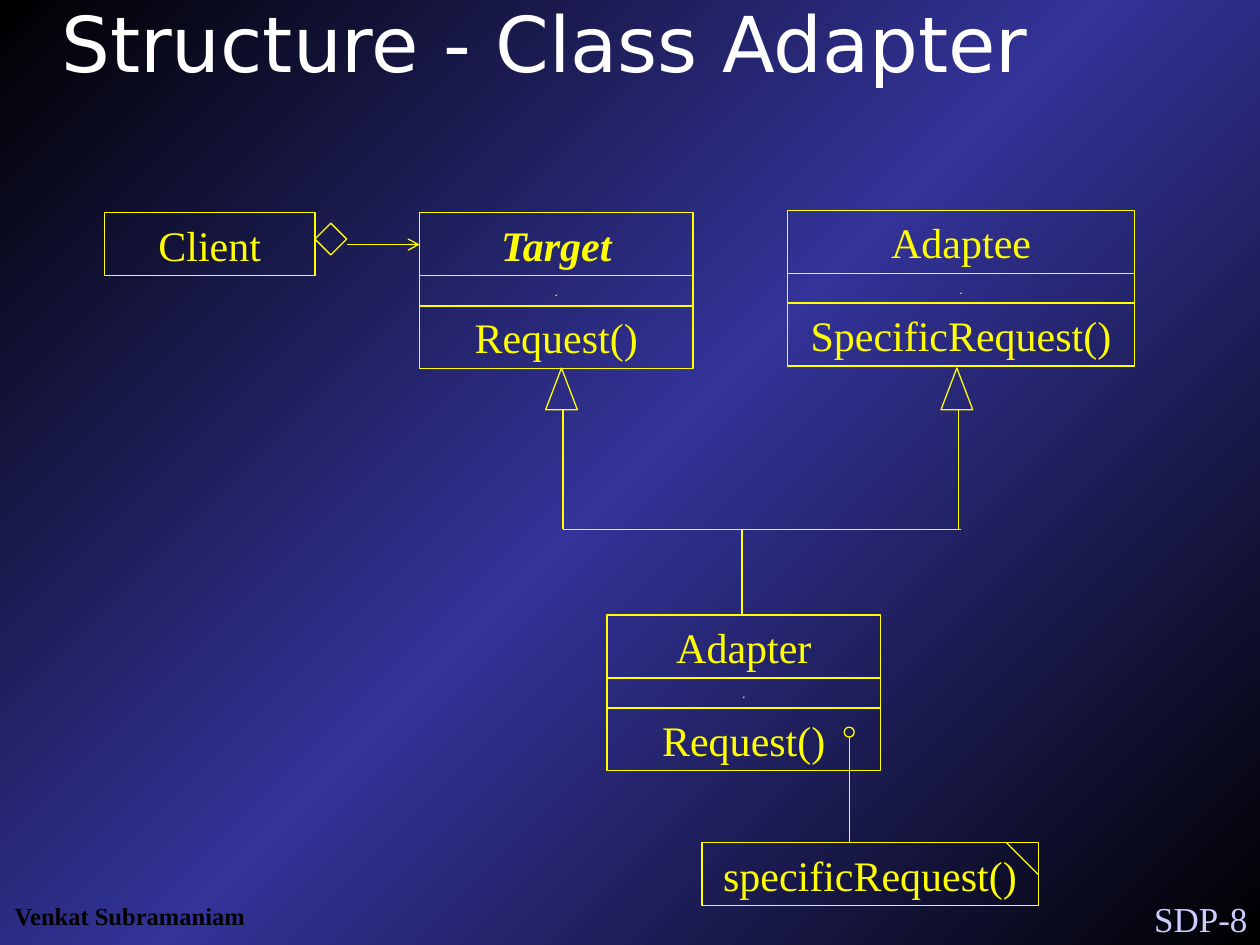
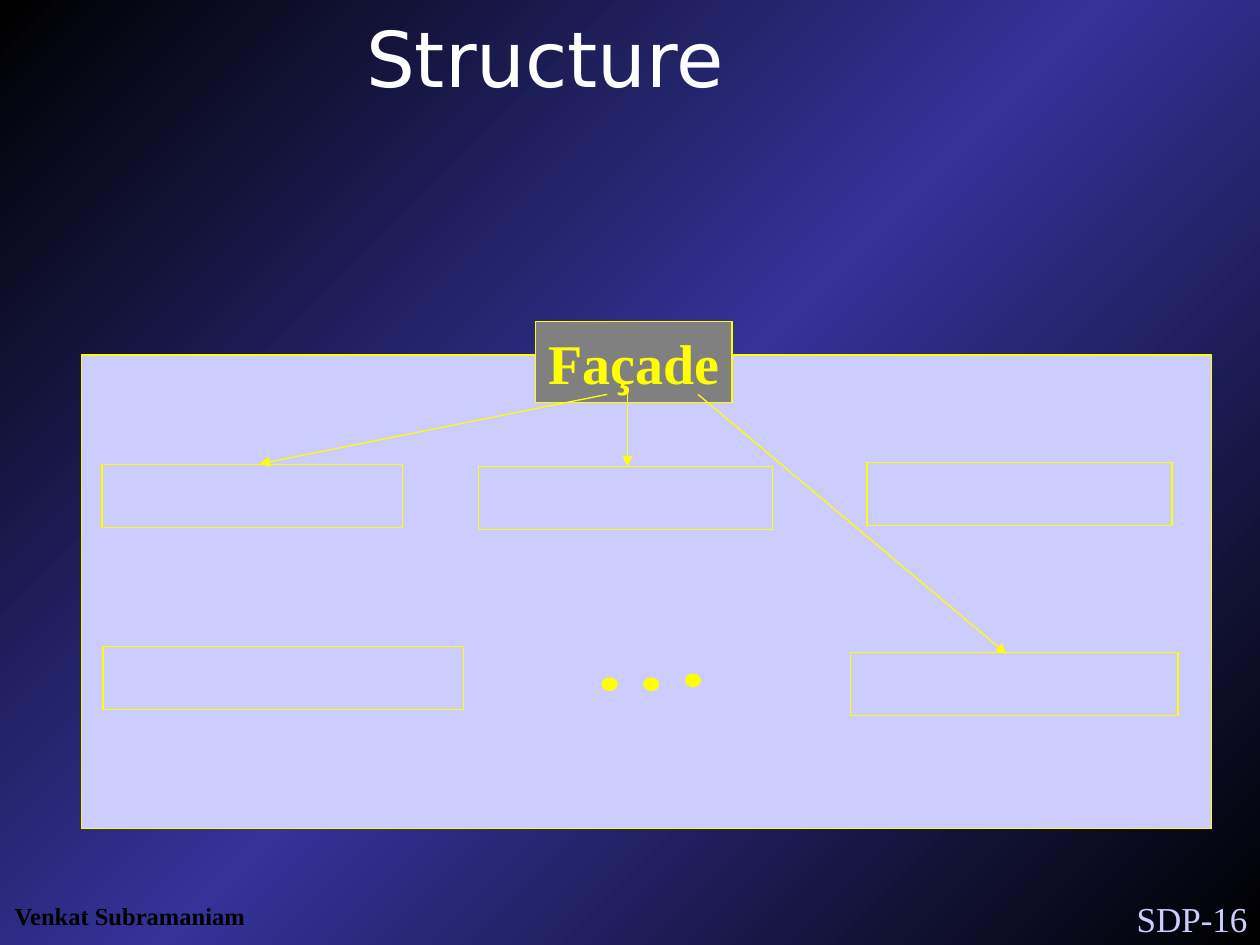
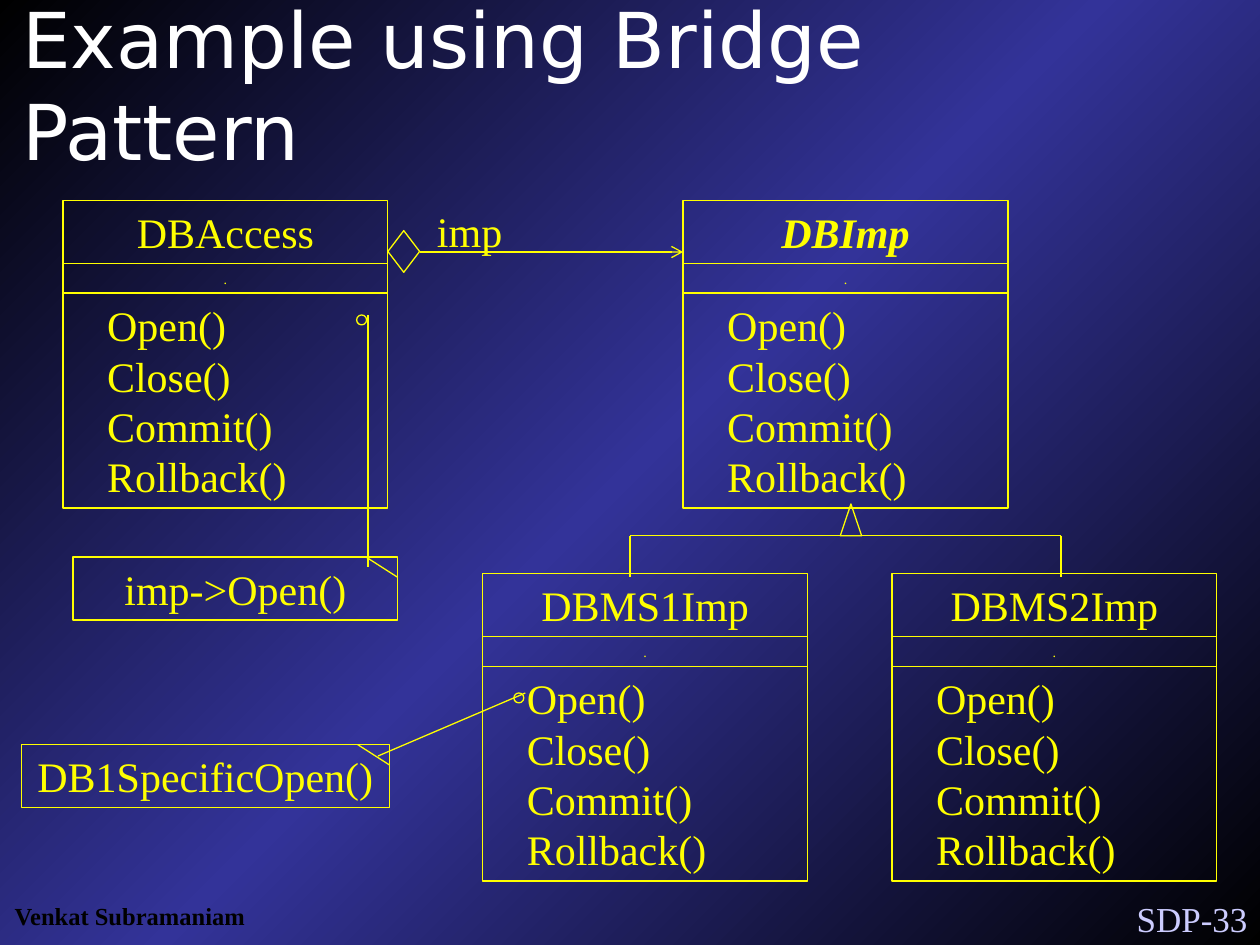
from dataclasses import dataclass

from lxml.etree import SubElement
from pptx import Presentation
from pptx.dml.color import RGBColor
from pptx.enum.shapes import MSO_CONNECTOR, MSO_SHAPE
from pptx.enum.text import MSO_ANCHOR, PP_ALIGN
from pptx.oxml.ns import qn
from pptx.util import Cm, Pt

YELLOW, WHITE, BLACK = "FFFF00", "FFFFFF", "000000"
NAVY, LAVENDER, GREY = "333399", "CCCCFF", "808080"
SERIF, SANS = "Times New Roman", "DejaVu Sans"
AUTHOR = "Venkat Subramaniam"

NAME_HEIGHT = 1.27
MARKER_HEIGHT = 0.61
METHODS_OFFSET = 1.87
METHOD_LINE = 1.02
PIN_SIZE = 0.2
DATABASE_METHODS = ("Open()", "Close()", "Commit()", "Rollback()")


@dataclass(frozen=True)
class Area:
    left: float
    top: float
    width: float
    height: float


@dataclass(frozen=True)
class Style:
    size: float = 24
    font: str = SERIF
    color: str = YELLOW
    bold: bool = False
    italic: bool = False
    align: PP_ALIGN = PP_ALIGN.CENTER
    indent: float = 0


@dataclass(frozen=True)
class UmlClass:
    name: str
    left: float
    top: float
    width: float
    methods: tuple[str, ...]
    abstract: bool = False


@dataclass(frozen=True)
class Note:
    text: str
    left: float
    top: float
    width: float
    fold_height: float


@dataclass(frozen=True)
class Line:
    x1: float
    y1: float
    x2: float
    y2: float
    arrow: str = ""


LABEL = Style()
MARKER = Style(size=8)
METHOD_LIST = Style(align=PP_ALIGN.LEFT, indent=0.64)


def rgb(color: str) -> RGBColor:
    return RGBColor.from_string(color)


def write(shape, lines: tuple[str, ...], style: Style, wrap: bool = True,
          anchor: MSO_ANCHOR = MSO_ANCHOR.MIDDLE) -> None:
    """Fill a shape with one paragraph a line, 1.2 font sizes apart."""
    frame = shape.text_frame
    frame.word_wrap = wrap
    frame.vertical_anchor = anchor
    frame.margin_left = frame.margin_right = Cm(0.25)
    frame.margin_top = frame.margin_bottom = Cm(0.13)
    frame.text = "\n".join(lines)
    for paragraph in frame.paragraphs:
        paragraph.alignment = style.align
        paragraph.line_spacing = Pt(1.2 * style.size)
        font = paragraph.font
        font.name, font.size = style.font, Pt(style.size)
        font.bold, font.italic = style.bold, style.italic
        font.color.rgb = rgb(style.color)
        if style.indent:
            paragraph._p.get_or_add_pPr().set("marL", str(Cm(style.indent)))


def add_text(page, area: Area, text: str, style: Style, wrap: bool = True,
             anchor: MSO_ANCHOR = MSO_ANCHOR.MIDDLE) -> None:
    box = page.shapes.add_textbox(Cm(area.left), Cm(area.top),
                                  Cm(area.width), Cm(area.height))
    write(box, (text,), style, wrap, anchor)


def add_outline(page, area: Area, kind: MSO_SHAPE = MSO_SHAPE.RECTANGLE, fill: str = ""):
    """Add a yellow-edged shape, see-through unless a fill is given."""
    shape = page.shapes.add_shape(kind, Cm(area.left), Cm(area.top),
                                  Cm(area.width), Cm(area.height))
    shape.shadow.inherit = False
    shape.line.color.rgb = rgb(YELLOW)
    shape.line.width = Pt(0.75)
    if fill:
        shape.fill.solid()
        shape.fill.fore_color.rgb = rgb(fill)
    else:
        shape.fill.background()
    return shape


def add_line(page, line: Line) -> None:
    connector = page.shapes.add_connector(MSO_CONNECTOR.STRAIGHT, Cm(line.x1), Cm(line.y1),
                                          Cm(line.x2), Cm(line.y2))
    connector.line.color.rgb = rgb(YELLOW)
    connector.line.width = Pt(0.75)
    if line.arrow:
        SubElement(connector.line._get_or_add_ln(), qn("a:tailEnd"), type=line.arrow)
    SubElement(connector._element.spPr, qn("a:effectLst"))


def add_label_box(page, area: Area, text: str, style: Style = LABEL, fill: str = "") -> None:
    write(add_outline(page, area, fill=fill), (text,), style, wrap=False)


def add_class(page, uml: UmlClass) -> None:
    """Stack the name, attribute and method compartments of a class."""
    name_style = Style(bold=uml.abstract, italic=uml.abstract)
    add_label_box(page, Area(uml.left, uml.top, uml.width, NAME_HEIGHT), uml.name, name_style)
    add_label_box(page, Area(uml.left, uml.top + NAME_HEIGHT, uml.width, MARKER_HEIGHT),
                  ".", MARKER)
    height = 0.25 + METHOD_LINE * len(uml.methods)
    methods = add_outline(page, Area(uml.left, uml.top + METHODS_OFFSET, uml.width, height))
    write(methods, uml.methods, METHOD_LIST if len(uml.methods) > 1 else LABEL)


def add_note(page, note: Note) -> None:
    add_label_box(page, Area(note.left, note.top, note.width, NAME_HEIGHT), note.text)
    right = note.left + note.width
    add_line(page, Line(right - 0.64, note.top, right, note.top + note.fold_height))


def add_pin(page, left: float, top: float) -> None:
    add_outline(page, Area(left, top, PIN_SIZE, PIN_SIZE), MSO_SHAPE.OVAL)


def paint_background(deck) -> None:
    """Give the master a diagonal black, navy, black gradient."""
    fill = deck.slide_master.background.fill
    fill.gradient()
    fill.gradient_angle = 315
    stops = deck.slide_master.element.find(".//" + qn("a:gsLst"))
    stops.clear()
    for position, color in ((0, BLACK), (50, NAVY), (100, BLACK)):
        stop = SubElement(stops, qn("a:gs"), pos=str(position * 1000))
        SubElement(stop, qn("a:srgbClr"), val=color)


def add_page(deck, number: int, title: str, title_top: float, title_height: float,
             title_align: PP_ALIGN = PP_ALIGN.CENTER):
    page = deck.slides.add_slide(deck.slide_layouts[6])
    add_text(page, Area(21.79, 17.96, 3.61, 1.12), f"SDP-{number}",
             Style(20, color=LAVENDER, align=PP_ALIGN.RIGHT), anchor=MSO_ANCHOR.TOP)
    add_text(page, Area(0.03, 18.03, 5.18, 0.86), AUTHOR,
             Style(14, color=BLACK, bold=True), wrap=False, anchor=MSO_ANCHOR.TOP)
    add_text(page, Area(0.2, title_top, 21.59, title_height), title,
             Style(44, SANS, WHITE, align=title_align))
    return page


def build_class_adapter(deck) -> None:
    page = add_page(deck, 8, "Structure - Class Adapter", 0.2, 1.27)
    add_label_box(page, Area(2.11, 4.29, 4.24, NAME_HEIGHT), "Client")
    for uml in (
        UmlClass("Target", 8.46, 4.29, 5.51, ("Request()",), abstract=True),
        UmlClass("Adaptee", 15.88, 4.24, 6.99, ("SpecificRequest()",)),
        UmlClass("Adapter", 12.24, 12.4, 5.51, ("Request()",)),
    ):
        add_class(page, uml)
    add_note(page, Note("specificRequest()", 14.15, 16.99, 6.78, 0.64))
    add_pin(page, 17.02, 14.66)
    add_outline(page, Area(6.35, 4.5, 0.64, 0.64), MSO_SHAPE.DIAMOND)
    for left in (11, 18.97):
        add_outline(page, Area(left, 7.42, 0.64, 0.84), MSO_SHAPE.ISOSCELES_TRIANGLE)
    bus = 10.67
    for line in (
        Line(6.99, 4.93, 8.46, 4.93, "arrow"),
        Line(11.35, bus, 11.35, 8.26),
        Line(19.33, bus, 19.33, 8.26),
        Line(11.35, bus, 19.38, bus),
        Line(14.96, 12.42, 14.96, bus),
        Line(17.12, 14.86, 17.12, 16.99),
    ):
        add_line(page, line)


def build_facade(deck) -> None:
    page = add_page(deck, 16, "Structure", 0.2, 1.9)
    add_outline(page, Area(1.65, 7.16, 22.78, 9.55), fill=LAVENDER)
    add_label_box(page, Area(10.8, 6.48, 3.96, 1.63), "Façade", Style(32, bold=True), GREY)
    for left, top, width in (
        (2.06, 9.37, 6.05), (9.65, 9.4, 5.92), (17.48, 9.32, 6.15),
        (2.08, 13.03, 7.26), (17.15, 13.16, 6.6),
    ):
        add_outline(page, Area(left, top, width, NAME_HEIGHT))
    for index, top in enumerate((13.67, 13.67, 13.59)):
        add_outline(page, Area(12.14 + 0.84 * index, top, 0.3, 0.25), MSO_SHAPE.OVAL, YELLOW)
    for line in (
        Line(12.24, 7.95, 5.23, 9.35, "triangle"),
        Line(12.65, 7.87, 12.65, 9.4, "triangle"),
        Line(14.07, 7.95, 20.29, 13.18, "triangle"),
    ):
        add_line(page, line)


def build_bridge(deck) -> None:
    page = add_page(deck, 33, "Example using Bridge Pattern", 0.84, 1.7, PP_ALIGN.LEFT)
    for name, left, top in (
        ("DBAccess", 1.27, 4.04), ("DBImp", 13.77, 4.04),
        ("DBMS1Imp", 9.73, 11.56), ("DBMS2Imp", 17.98, 11.56),
    ):
        add_class(page, UmlClass(name, left, top, 6.55, DATABASE_METHODS, name == "DBImp"))
    add_note(page, Note("imp->Open()", 1.47, 11.23, 6.55, 0.41))
    add_note(page, Note("DB1SpecificOpen()", 0.43, 15.01, 7.42, 0.41))
    add_pin(page, 7.19, 6.35)
    add_pin(page, 10.36, 13.97)
    add_outline(page, Area(7.82, 4.65, 0.64, 0.84), MSO_SHAPE.DIAMOND)
    add_outline(page, Area(16.94, 10.16, 0.43, 0.64), MSO_SHAPE.ISOSCELES_TRIANGLE)
    add_text(page, Area(8.56, 4.01, 1.83, NAME_HEIGHT), "imp",
             Style(align=PP_ALIGN.LEFT), wrap=False)
    bus = 10.8
    for line in (
        Line(8.46, 5.08, 13.77, 5.08, "arrow"),
        Line(12.7, bus, 12.7, 11.63),
        Line(21.39, bus, 21.39, 11.63),
        Line(12.7, bus, 21.39, bus),
        Line(7.42, 6.35, 7.42, 11.43),
        Line(10.59, 13.97, 7.62, 15.24),
    ):
        add_line(page, line)


def main() -> None:
    deck = Presentation()
    deck.slide_width, deck.slide_height = Cm(25.4), Cm(19.05)
    paint_background(deck)
    build_class_adapter(deck)
    build_facade(deck)
    build_bridge(deck)
    deck.save("out.pptx")


if __name__ == "__main__":
    main()
